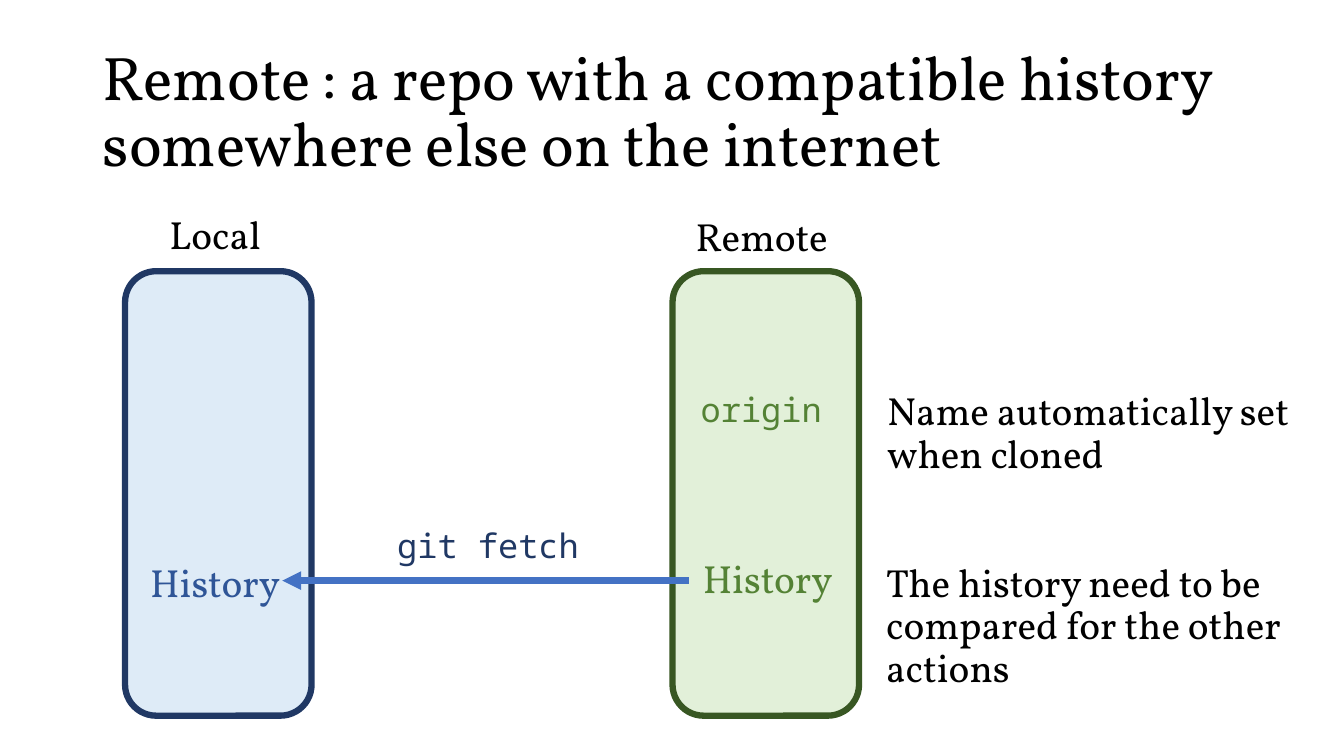
from pptx import Presentation
from pptx import util as u
from pptx.dml.color import RGBColor
from pptx.enum import shapes, text
from pptx.oxml.ns import qn
from lxml import etree

SERIF = "Vollkorn"
MONO = "Noto Sans Mono"
BLACK = "000000"
NAVY = "203864"
GREEN = "548235"


def px(n):
    return u.Emu(n * 9144)


def rgb(code):
    return RGBColor.from_string(code)


class Board:
    def __init__(self, deck):
        self.slide = deck.slides.add_slide(deck.slide_layouts[6])
        self.weight = u.Pt(4.5)

    def panel(self, x, y, w, h, fill, edge):
        box = self.slide.shapes.add_shape(
            shapes.MSO_SHAPE.ROUNDED_RECTANGLE, px(x), px(y), px(w), px(h))
        box.shadow.inherit = False
        box.fill.solid()
        box.fill.fore_color.rgb = rgb(fill)
        box.line.color.rgb = rgb(edge)
        box.line.width = self.weight

    def label(self, x, y, w, h, words, color=BLACK, face=SERIF, size=28,
              align=text.PP_ALIGN.LEFT, anchor=text.MSO_ANCHOR.TOP, inset=(0, 0)):
        box = self.slide.shapes.add_textbox(px(x), px(y), px(w), px(h))
        frame = box.text_frame
        frame.word_wrap = True
        frame.vertical_anchor = anchor
        frame.margin_left = frame.margin_right = px(inset[0])
        frame.margin_top = frame.margin_bottom = px(inset[1])
        para = frame.paragraphs[0]
        para.text = words
        para.alignment = align
        para.line_spacing = 0.9
        para.font.name = face
        para.font.size = u.Pt(size)
        para.font.color.rgb = rgb(color)

    def arrow(self, x1, y1, x2, y2, color):
        link = self.slide.shapes.add_connector(
            shapes.MSO_CONNECTOR.STRAIGHT, px(x1), px(y1), px(x2), px(y2))
        link.line.color.rgb = rgb(color)
        link.line.width = self.weight
        props = link._element.spPr
        etree.SubElement(props.find(qn("a:ln")), qn("a:tailEnd"), type="triangle")
        etree.SubElement(props, qn("a:effectLst"))


def main():
    deck = Presentation()
    deck.slide_width = px(1333)
    deck.slide_height = px(750)
    board = Board(deck)

    board.panel(124, 269, 185, 441, "DEEBF7", NAVY)
    board.panel(667, 269, 185, 441, "E2F0D9", "385723")

    board.label(92, 40, 1150, 145,
                "Remote : a repo with a compatible history somewhere else on the internet",
                size=44, anchor=text.MSO_ANCHOR.MIDDLE, inset=(10, 5))
    board.label(168, 214, 225, 55, "Local")
    board.label(690, 216, 225, 55, "Remote")
    board.label(695, 390, 220, 51, "origin", GREEN, MONO, 24)
    board.label(880, 389, 440, 100, "Name automatically set when cloned")
    board.label(697, 555, 225, 55, "History", GREEN)
    board.arrow(683, 576, 280, 576, "4472C4")
    board.label(374, 525, 220, 51, "git fetch", NAVY, MONO, 24, text.PP_ALIGN.CENTER)
    board.label(879, 559, 440, 135,
                "The history need to be compared for the other actions")
    board.label(149, 559, 225, 55, "History", "2F5597")

    deck.save("out.pptx")


if __name__ == "__main__":
    main()
